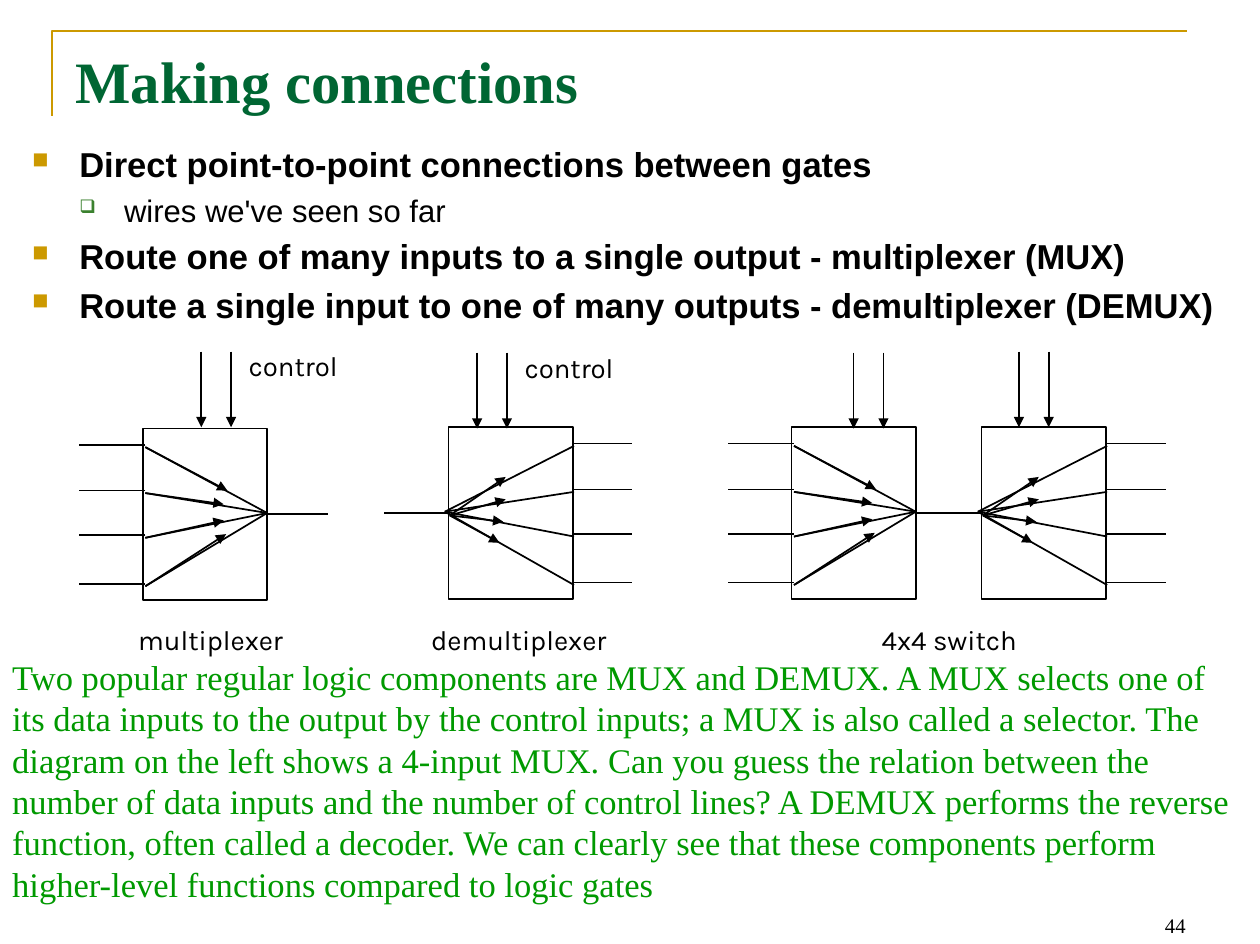
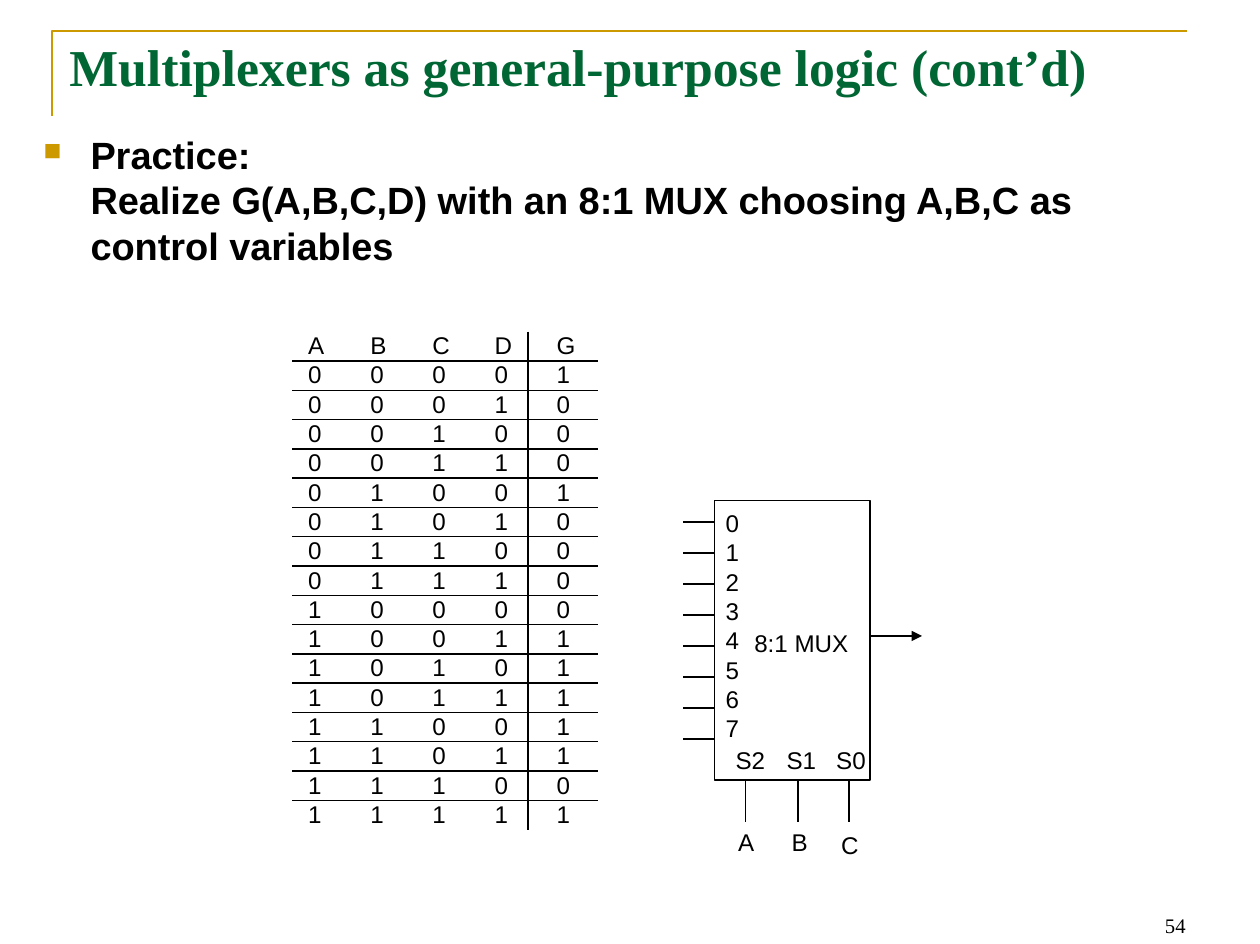
from dataclasses import dataclass
from lxml.etree import SubElement
from pptx import Presentation
from pptx.dml.color import RGBColor
from pptx.enum.shapes import MSO_CONNECTOR, MSO_SHAPE
from pptx.enum.text import MSO_ANCHOR, PP_ALIGN
from pptx.oxml import parse_xml
from pptx.oxml.ns import nsdecls, qn
from pptx.util import Emu, Pt


@dataclass(frozen=True)
class Theme:
    ink: str = "000000"
    gold: str = "CC9900"
    title: str = "006633"
    note: str = "009900"
    moss: str = "3B812F"
    serif: str = "Times New Roman"
    sans: str = "Arial"
    label: str = "Karla"
    head: int = 34
    long: int = 30
    task: int = 22
    body: int = 20
    sub: int = 18
    tag: int = 16
    cell: int = 14
    page: int = 12
    row: int = 17
    lead: int = 22
    gap: int = 4
    thin: float = 1
    rule: float = 1.5


T = Theme()
PX = 9144
TIGHT = (2, 3, 2, 3)
MAIN = dict(mark="■", tint=T.gold, scale=65, left=38, hang=38, bold=True)
SUB = dict(mark="❑", tint=T.moss, scale=60, left=74, hang=36, size=T.sub)
TAG = dict(font=T.label, size=T.tag, lead=T.lead, align=PP_ALIGN.CENTER, inset=TIGHT, wrap=False)
CELL = dict(size=T.cell, lead=T.row, inset=TIGHT, wrap=False)


def text(slide, box, paras, inset=(10, 5, 10, 5), wrap=True, anchor=MSO_ANCHOR.TOP, **base):
    frame = slide.shapes.add_textbox(*[Emu(n * PX) for n in box]).text_frame
    frame.word_wrap = wrap
    frame.vertical_anchor = anchor
    frame.margin_left, frame.margin_top, frame.margin_right, frame.margin_bottom = [
        Emu(n * PX) for n in inset]
    for i, (words, more) in enumerate(paras if isinstance(paras, list) else [(paras, {})]):
        fmt = {**base, **more}
        para = frame.add_paragraph() if i else frame.paragraphs[0]
        para.text = words
        para.alignment = fmt.get("align", PP_ALIGN.LEFT)
        if "mark" in fmt:
            props = para._p.get_or_add_pPr()
            props.set("marL", str(fmt["left"] * PX))
            props.set("indent", str(-fmt["hang"] * PX))
            tint = SubElement(props, qn("a:buClr"))
            SubElement(tint, qn("a:srgbClr"), val=fmt["tint"])
            SubElement(props, qn("a:buSzPct"), val=str(fmt["scale"] * 1000))
            SubElement(props, qn("a:buChar"), char=fmt["mark"])
        if "lead" in fmt:
            para.line_spacing = Pt(fmt["lead"])
        if i and "gap" in fmt:
            para.space_before = Pt(fmt["gap"])
        for run in para.runs:
            run.font.name = fmt.get("font", T.sans)
            run.font.size = Pt(fmt["size"])
            run.font.bold = fmt.get("bold", False)
            run.font.color.rgb = RGBColor.from_string(fmt.get("color", T.ink))


def line(slide, *ends, arrow=False):
    wire = slide.shapes.add_connector(MSO_CONNECTOR.STRAIGHT, *[Emu(n * PX) for n in ends])
    wire.line.color.rgb = RGBColor.from_string(T.ink)
    wire.line.width = Pt(T.thin)
    if arrow:
        SubElement(wire.line._get_or_add_ln(), qn("a:tailEnd"), type="triangle")
    SubElement(wire._element.spPr, qn("a:effectLst"))


deck = Presentation()
deck.slide_width, deck.slide_height = Emu(1014 * PX), Emu(760 * PX)
HEADS = [
    ("Making connections", (51, 31), T.head, "44", [
        (115, 345, 100, 138), (361, 344, 100, 138), (637, 344, 100, 138), (790, 344, 100, 138)]),
    ("Multiplexers as general-purpose logic (cont’d)", (46, 23), T.long, "54", [
        (575, 403, 125, 225)]),
]
for name, spot, size, page, boxes in HEADS:
    slide = deck.slides.add_slide(deck.slide_layouts[6])
    path = slide.shapes.build_freeform(42, 93, scale=PX)
    path.add_line_segments([(42, 25), (955, 25)], close=False)
    edge = path.convert_to_shape()
    edge.shadow.inherit = False
    edge.fill.background()
    edge.line.color.rgb = RGBColor.from_string(T.gold)
    edge.line.width = Pt(T.rule)
    text(slide, (*spot, 912, 126), name, font=T.serif, size=size, color=T.title, bold=True)
    text(slide, (727, 709, 237, 51), page, font=T.serif, size=T.page,
         align=PP_ALIGN.RIGHT, anchor=MSO_ANCHOR.BOTTOM)
    for box in boxes:
        block = slide.shapes.add_shape(MSO_SHAPE.RECTANGLE, *[Emu(n * PX) for n in box])
        block.shadow.inherit = False
        block.fill.background()
        block.line.color.rgb = RGBColor.from_string(T.ink)
        block.line.width = Pt(T.thin)

first, second = deck.slides

text(first, (16, 110, 984, 487), [
    ("Direct point-to-point connections between gates", MAIN),
    ("wires we've seen so far", SUB),
    ("Route one of many inputs to a single output - multiplexer (MUX)", MAIN),
    ("Route a single input to one of many outputs - demultiplexer (DEMUX)", MAIN),
], size=T.body, gap=T.gap)

PORTS = (13, 50, 86, 125)
MUX = dict(near=2, far=-51, apex=100, out=(101, 149),
           tips=((68, 50), (65, 61), (65, 74), (67, 85)))
DEMUX = dict(near=101, far=148, apex=-3, out=(1, -52),
             tips=((46, 40), (46, 58), (44, 76), (41, 93)))
for (x, y, *_), kind, pin, top in zip(
        HEADS[0][4], (MUX, DEMUX, MUX, DEMUX), (162, 384, 687, 820), (283, 284, 284, 283)):
    near = x + kind["near"]
    for port, (dx, dy) in zip(PORTS, kind["tips"]):
        line(first, near, y + port, x + kind["far"], y + port)
        line(first, near, y + port + 2, x + kind["apex"], y + 68)
        tail = (near, y + port + 2) if kind is MUX else (x + 1, y + 71)
        line(first, *tail, x + dx, y + dy, arrow=True)
    start, stop = kind["out"]
    line(first, x + start, y + 69, x + stop, y + 69)
    for step in (0, 24):
        line(first, pin + step, top, pin + step, top + 61, arrow=True)

for words, x, y, w in (("multiplexer", 84, 495, 171), ("demultiplexer", 318, 495, 199),
                       ("4x4 switch", 680, 495, 168), ("control", 173, 274, 126),
                       ("control", 395, 276, 126)):
    text(first, (x, y, w, 47), words, **TAG)

text(first, (0, 523, 1014, 210),
     "Two popular regular logic components are MUX and DEMUX. A MUX selects one of its data "
     "inputs to the output by the control inputs; a MUX is also called a selector. The diagram "
     "on the left shows a 4-input MUX. Can you guess the relation between the number of data "
     "inputs and the number of control lines? A DEMUX performs the reverse function, often "
     "called a decoder. We can clearly see that these components perform higher-level "
     "functions compared to logic gates",
     font=T.serif, size=T.body, color=T.note)

text(second, (25, 101, 908, 494),
     "Practice:\vRealize G(A,B,C,D) with an 8:1 MUX choosing A,B,C as control variables",
     size=T.task, **MAIN)

ROWS = ["ABCDG"] + [f"{n:04b}{g}" for n, g in enumerate("1000100001111101")]
WIDTHS = (50, 50, 50, 40, 56)
grid = second.shapes.add_table(
    len(ROWS), len(WIDTHS), Emu(235 * PX), Emu(267 * PX),
    Emu(sum(WIDTHS) * PX), Pt(T.row * len(ROWS))).table
grid.first_row = grid.horz_banding = False
grid._tbl.tblPr.find(qn("a:tableStyleId")).text = "{2D5ABB26-0587-4C30-8999-92F81FD0307C}"
for c, width in enumerate(WIDTHS):
    grid.columns[c].width = Emu(width * PX)
for r, bits in enumerate(ROWS):
    grid.rows[r].height = Pt(T.row)
    for c, bit in enumerate(bits):
        cell = grid.cell(r, c)
        cell.margin_left = Emu((23 if c == 4 else 13) * PX)
        cell.margin_top = cell.margin_bottom = cell.margin_right = 0
        cell.vertical_anchor = MSO_ANCHOR.MIDDLE
        cell.fill.background()
        cell.text = bit
        font = cell.text_frame.paragraphs[0].runs[0].font
        font.name, font.size = T.sans, Pt(T.cell)
        font.color.rgb = RGBColor.from_string(T.ink)
        sides = {"L": c == 4, "R": c == 3, "T": r % 2 == 1, "B": r % 2 == 0 and r < 16}
        drawn = [side for side, shown in sides.items() if shown]
        for at, side in enumerate(drawn):
            cell._tc.get_or_add_tcPr().insert(at, parse_xml(
                f'<a:ln{side} {nsdecls("a")} w="{Pt(T.thin)}"><a:solidFill>'
                f'<a:srgbClr val="{T.ink}"/></a:solidFill></a:ln{side}>'))

text(second, (582, 406, 18, 231), [(str(n), {}) for n in range(8)], **CELL)
text(second, (583, 503, 124, 65), "8:1 MUX", align=PP_ALIGN.CENTER, **CELL)
for n in range(8):
    line(second, 575, 420 + 25 * n, 550, 420 + 25 * n)
line(second, 700, 512, 742, 512, arrow=True)
for pin, x, name, left, low, wire in (("S2", 590, "A", 592, 663, 600),
                                      ("S1", 631, "B", 635, 663, 642),
                                      ("S0", 671, "C", 675, 665, 683)):
    text(second, (x, 597, 71, 65), pin, **CELL)
    text(second, (left, low, 61, 31), name, **CELL)
    line(second, wire, 628, wire, 662)

deck.save("out.pptx")
